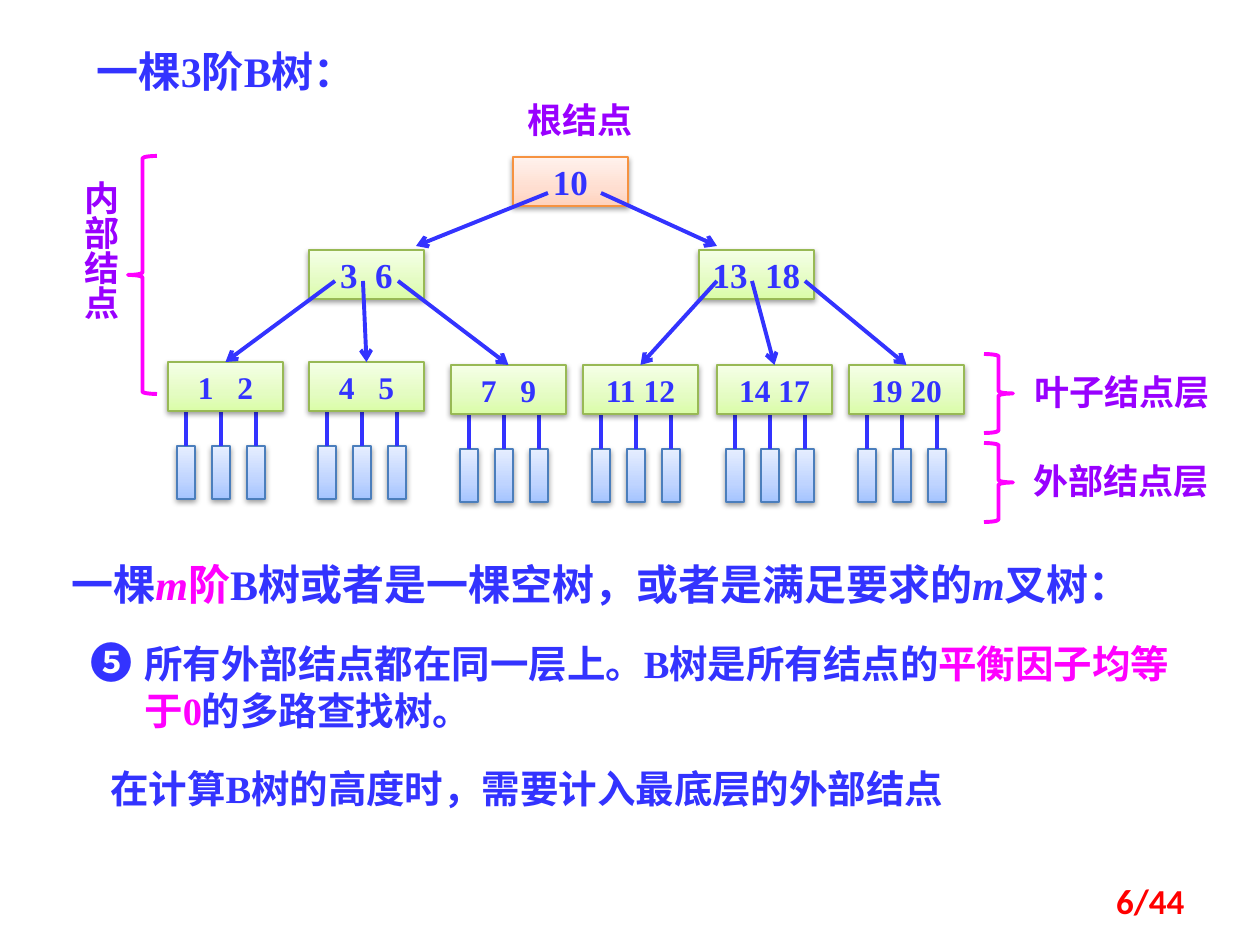
from lxml import etree
from pptx import Presentation
from pptx.dml.color import RGBColor
from pptx.enum.shapes import MSO_CONNECTOR, MSO_SHAPE
from pptx.enum.text import MSO_ANCHOR, MSO_AUTO_SIZE, PP_ALIGN
from pptx.oxml import parse_xml
from pptx.oxml.ns import nsdecls, qn
from pptx.util import Emu, Pt

LEFT, MID, RIGHT = PP_ALIGN.LEFT, PP_ALIGN.CENTER, PP_ALIGN.RIGHT
TOP, CENTER = MSO_ANCHOR.TOP, MSO_ANCHOR.MIDDLE
GROW, FIXED = MSO_AUTO_SIZE.SHAPE_TO_FIT_TEXT, MSO_AUTO_SIZE.NONE
RECT, STRAIGHT = MSO_SHAPE.RECTANGLE, MSO_CONNECTOR.STRAIGHT
OPEN, CLOSE = MSO_SHAPE.LEFT_BRACE, MSO_SHAPE.RIGHT_BRACE

BLUE = RGBColor(0x33, 0x33, 0xFF)
PINK = RGBColor(0xFF, 0x00, 0xFF)
PURPLE = RGBColor(0x99, 0x00, 0xFF)
RED = RGBColor(0xFF, 0x00, 0x00)
WHITE = RGBColor(0xFF, 0xFF, 0xFF)
# Edge colour, then the gradient from bottom to top
ORANGE = RGBColor(0xF6, 0x92, 0x40), ("FFD2BD", "FFDED0", "FFF2ED")
GREEN = RGBColor(0x98, 0xB9, 0x55), ("DAFDA7", "E4FCC2", "F5FFE7")
SKY = RGBColor(0x4B, 0x7E, 0xBC), ("A4C4FF", "BFD4FF", "E6EEFF")
STOPS = (0, 35000, 100000)

SERIF, SANS, PLAIN = "Times New Roman", "Noto Sans CJK SC", "Calibri"

# Node size and the parts that hang below a leaf, in px
NODE_W, NODE_H = 115, 49
EXT_W, EXT_H, EXT_X, EXT_STEP = 18, 53, 9, 35
STEM_Y, EXT_Y = 40, 84

# Keys, extra gap between the keys in pt, x, y
ROOT = (("10",), 0, 513, 157)
INNER = [(("3", "6"), 5, 309, 250), (("13", "18"), 5, 699, 250)]
LEAVES = [
    (("1", "2"), 9, 168, 362), (("4", "5"), 9, 309, 362),
    (("7", "9"), 9, 451, 365), (("11", "12"), 0, 583, 365),
    (("14", "17"), 0, 717, 365), (("19", "20"), 0, 849, 365),
]
ROOT_LINKS = [(548, 193, 416, 246), (601, 193, 717, 246)]
LEAF_STARTS = [335, 363, 398, 717, 752, 805]
LEAF_START_Y = 281

BRACES = [
    (OPEN, 128, 156, 29, 238),
    (CLOSE, 984, 354, 29, 79),
    (CLOSE, 984, 443, 29, 79),
]
LABELS = [
    ("根结点", 502, 92, 157, 55),
    ("叶子结点层", 1014, 364, 217, 55),
    ("外部结点层", 1003, 453, 237, 55),
]
SIDE = ("内部结点", 60, 168, 68, 206)

# Runs are text, colour, size, italic
TITLE = [("一棵3阶B树：", BLUE, 24, False)]
RULE = [
    ("一棵", BLUE, 24, False), ("m", PINK, 24, True), ("阶", PINK, 24, False),
    ("B树或者是一棵空树，或者是满足要求的", BLUE, 24, False),
    ("m", BLUE, 24, True), ("叉树：", BLUE, 24, False),
]
POINT = [
    ("❺\t", BLUE, 24, False),
    ("所有外部结点都在同一层上。B树是所有结点的", BLUE, 22, False),
    ("平衡因子均等于0", PINK, 22, False), ("的多路查找树。", BLUE, 22, False),
]
NOTE = [("在计算B树的高度时，需要计入最底层的外部结点", BLUE, 22, False)]
PAGE = [("6/44", RED, 20, False)]


def px(n):
    return Emu(round(n * 914400 / 126))


def write(shape, runs, font=SERIF, align=LEFT, anchor=TOP, size=GROW):
    frame = shape.text_frame
    form = {"word_wrap": True, "auto_size": size, "vertical_anchor": anchor}
    for key, value in form.items():
        setattr(frame, key, value)
    para = frame.paragraphs[0]
    para.alignment = align
    for text, color, points, slant in runs:
        run = para.add_run()
        run.text = text
        run.font.color.rgb = color
        form = {"name": font, "size": Pt(points), "bold": True, "italic": slant}
        for key, value in form.items():
            setattr(run.font, key, value)
        east = etree.SubElement(run.font._element, qn("a:ea"))
        east.set("typeface", SANS)
    return para


def add_text(runs, x, y, w, h, **form):
    box = slide.shapes.add_textbox(*map(px, (x, y, w, h)))
    return box, write(box, runs, **form)


def add_box(x, y, w, h, look):
    """Draw a rectangle with a gradient and a soft shadow."""
    edge, shades = look
    box = slide.shapes.add_shape(RECT, *map(px, (x, y, w, h)))
    stops = "".join(f'<a:gs pos="{pos}"><a:srgbClr val="{shade}"/></a:gs>'
                    for pos, shade in zip(STOPS, shades))
    props = box._element.spPr
    props.insert(2, parse_xml(
        f'<a:gradFill {nsdecls("a")} rotWithShape="1"><a:gsLst>{stops}</a:gsLst>'
        '<a:lin ang="16200000" scaled="1"/></a:gradFill>'))
    box.line.color.rgb = edge
    box.line.width = Pt(0.75)
    box.shadow.inherit = False
    props.find(qn("a:effectLst")).append(parse_xml(
        f'<a:outerShdw {nsdecls("a")} blurRad="40000" dist="20000" dir="5400000" '
        'rotWithShape="0"><a:srgbClr val="000000"><a:alpha val="38000"/>'
        '</a:srgbClr></a:outerShdw>'))
    return box


def add_node(keys, gap, x, y, look, points):
    """Draw a node; the gap widens the space between its keys."""
    box = add_box(x, y, NODE_W, NODE_H, look)
    parts = [keys[0]] + [part for key in keys[1:] for part in (" ", key)]
    para = write(box, [(part, BLUE, points, False) for part in parts],
                 align=MID, anchor=CENTER, size=FIXED)
    for run in para.runs:
        if run.text == " " and gap:
            run.font._element.set("spc", str(gap * 100))
    return box


def add_line(x1, y1, x2, y2, arrow=False, goal=None):
    line = slide.shapes.add_connector(STRAIGHT, *map(px, (x1, y1, x2, y2)))
    line.line.color.rgb = BLUE
    line.line.width = Pt(2.25)
    if arrow:
        etree.SubElement(line.line._get_or_add_ln(), qn("a:tailEnd"), type="arrow")
    etree.SubElement(line._element.spPr, qn("a:effectLst"))
    if goal is not None:
        line.end_connect(goal, 0)


deck = Presentation()
deck.slide_width, deck.slide_height = px(1260), px(945)
slide = deck.slides.add_slide(deck.slide_layouts[6])

add_text(TITLE, 59, 39, 335, 63, align=MID)
for text, *place in LABELS:
    label, _ = add_text([(text, PURPLE, 20, False)], *place, font=SANS, align=MID)
    label.fill.solid()
    label.fill.fore_color.rgb = WHITE

for _, _, x, y in LEAVES:
    for k in range(3):
        left = x + EXT_X + k * EXT_STEP
        mid = left + EXT_W / 2
        ext = add_box(left, y + EXT_Y, EXT_W, EXT_H, SKY)
        add_line(mid, y + STEM_Y, mid, y + EXT_Y, goal=ext)

add_node(*ROOT, ORANGE, 20)
leaves = [add_node(*leaf, GREEN, 18) for leaf in LEAVES]
for node in INNER:
    add_node(*node, GREEN, 20)
for link in ROOT_LINKS:
    add_line(*link, arrow=True)
for start, leaf, (_, _, x, y) in zip(LEAF_STARTS, leaves, LEAVES):
    add_line(start, LEAF_START_Y, x + NODE_W / 2, y, arrow=True, goal=leaf)

for kind, *place in BRACES:
    brace = slide.shapes.add_shape(kind, *map(px, place))
    brace.fill.background()
    brace.line.color.rgb = PINK
    brace.line.width = Pt(2.25)
    brace.shadow.inherit = False

text, *place = SIDE
side, _ = add_text([(text, PURPLE, 20, False)], *place, font=SANS, align=MID)
side.text_frame._txBody.bodyPr.set("vert", "eaVert")

_, para = add_text(RULE, 59, 542, 1167, 74)
para.line_spacing = 1.2
_, para = add_text(POINT, 69, 630, 1123, 115)
for key, value in {"marL": px(63), "indent": px(-54)}.items():
    para._p.get_or_add_pPr().set(key, str(value))
add_text(NOTE, 98, 759, 1082, 59)
add_text(PAGE, 903, 876, 294, 50, font=PLAIN, align=RIGHT, anchor=CENTER, size=FIXED)

deck.save("out.pptx")
